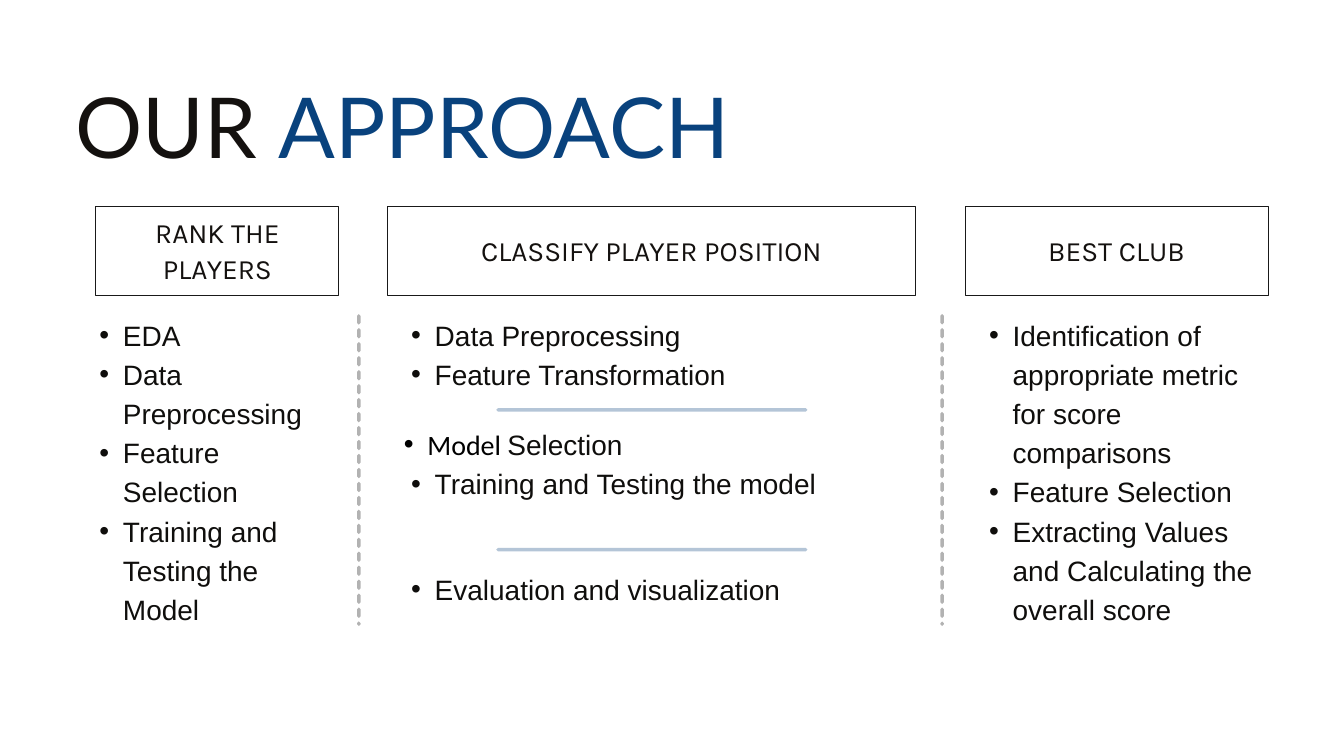
"""Build the "Our approach" slide: three headed columns of bullet steps."""
from dataclasses import dataclass

import lxml.etree
import pptx
import pptx.dml.color
import pptx.enum.dml
import pptx.enum.shapes
import pptx.enum.text
import pptx.oxml.ns
import pptx.util

Inches = pptx.util.Inches
Pt = pptx.util.Pt
qn = pptx.oxml.ns.qn

INK, BLUE, BODY, BLACK, FRAME = "14110F", "09427D", "0F0E0C", "000000", "191919"
FRAME_TOP, FRAME_HEIGHT = 3.07, 1.33
LIST_TOP = 4.65


@dataclass(frozen=True)
class Box:
    left: float
    top: float
    width: float
    height: float


@dataclass(frozen=True)
class Run:
    text: str
    font: str = "Arial"
    color: str = BODY
    size: float = 30


@dataclass(frozen=True)
class Para:
    runs: tuple[Run, ...]
    spacing: float | None = 42
    margin: float = 0.71
    hang: float = 0.35
    bullet: bool = True
    centered: bool = False


@dataclass(frozen=True)
class Heading:
    text: str
    frame_left: float
    frame_width: float
    label: Box


@dataclass(frozen=True)
class Steps:
    box: Box
    paras: tuple[Para, ...]


@dataclass(frozen=True)
class Rule:
    x1: float
    y1: float
    x2: float
    y2: float
    color: str
    dashed: bool = False


def step(text: str) -> Para:
    return Para((Run(text),))


HEADINGS = (
    Heading("RANK THE PLAYERS", 1.42, 3.61, Box(2.11, 3.16, 2.25, 1.09)),
    Heading("CLASSIFY PLAYER POSITION", 5.77, 7.86, Box(6.6, 3.43, 6.19, 0.55)),
    Heading("BEST CLUB", 14.36, 4.51, Box(15.02, 3.43, 3.19, 0.55)),
)

MODEL_SELECTION = Para(
    (Run("Model ", "Calibri", BLACK), Run("Selection")),
    spacing=None, margin=0.6, hang=0.35,
)

STEPS = (
    Steps(Box(1.12, LIST_TOP, 3.62, 4.67), (
        step("EDA"),
        step("Data Preprocessing"),
        step("Feature Selection"),
        step("Training and Testing the Model"),
    )),
    Steps(Box(5.76, LIST_TOP, 7.87, 1.17), (
        step("Data Preprocessing"),
        step("Feature Transformation"),
    )),
    Steps(Box(5.76, 6.36, 7.87, 1.04), (
        MODEL_SELECTION,
        step("Training and Testing the model"),
    )),
    Steps(Box(5.76, 8.43, 7.87, 0.58), (step("Evaluation and visualization"),)),
    Steps(Box(14.36, LIST_TOP, 4.52, 4.08), (
        step("Identification of appropriate metric for score comparisons"),
        step("Feature Selection"),
        step("Extracting Values and Calculating the overall score"),
    )),
)

RULES = (
    *(Rule(x, 4.7, x, 9.29, BLACK, dashed=True) for x in (5.34, 14.02)),
    *(Rule(7.41, y, 11.99, y, BLUE) for y in (6.1, 8.18)),
)


def rgb(color: str) -> pptx.dml.color.RGBColor:
    return pptx.dml.color.RGBColor.from_string(color)


def add_bullet(p, margin: float, hang: float) -> None:
    pPr = p._p.get_or_add_pPr()
    pPr.set("marL", str(Inches(margin)))
    pPr.set("indent", str(-Inches(hang)))
    lxml.etree.SubElement(pPr, qn("a:buFont")).set("typeface", "Arial")
    lxml.etree.SubElement(pPr, qn("a:buChar")).set("char", "•")


def add_text(s, box: Box, paras: tuple[Para, ...]) -> None:
    sp = s.shapes.add_textbox(
        Inches(box.left), Inches(box.top), Inches(box.width), Inches(box.height))
    tf = sp.text_frame
    tf.word_wrap = True
    tf.auto_size = pptx.enum.text.MSO_AUTO_SIZE.SHAPE_TO_FIT_TEXT
    tf.margin_left = tf.margin_top = tf.margin_right = tf.margin_bottom = 0
    for i, para in enumerate(paras):
        p = tf.add_paragraph() if i else tf.paragraphs[0]
        if para.bullet:
            add_bullet(p, para.margin, para.hang)
        if para.centered:
            p.alignment = pptx.enum.text.PP_ALIGN.CENTER
        if para.spacing is not None:
            p.line_spacing = Pt(para.spacing)
        for run in para.runs:
            r = p.add_run()
            r.text = run.text
            r.font.name = run.font
            r.font.size = Pt(run.size)
            r.font.color.rgb = rgb(run.color)


def add_heading(s, heading: Heading) -> None:
    sp = s.shapes.add_shape(
        pptx.enum.shapes.MSO_SHAPE.RECTANGLE,
        Inches(heading.frame_left), Inches(FRAME_TOP),
        Inches(heading.frame_width), Inches(FRAME_HEIGHT))
    sp.shadow.inherit = False
    sp.fill.background()
    sp.line.color.rgb = rgb(FRAME)
    sp.line.width = Pt(0.9)
    label = Para((Run(heading.text, "Karla", INK),), 39, bullet=False, centered=True)
    add_text(s, heading.label, (label,))


def add_rule(s, rule: Rule) -> None:
    sp = s.shapes.add_connector(
        pptx.enum.shapes.MSO_CONNECTOR.STRAIGHT,
        Inches(rule.x1), Inches(rule.y1), Inches(rule.x2), Inches(rule.y2))
    sp.line.color.rgb = rgb(rule.color)
    sp.line.width = Pt(3.75)
    if rule.dashed:
        sp.line.dash_style = pptx.enum.dml.MSO_LINE.SQUARE_DOT
    spPr = sp._element.spPr
    ln = spPr.find(qn("a:ln"))
    ln.set("cap", "rnd")
    color = ln.find(".//" + qn("a:srgbClr"))
    lxml.etree.SubElement(color, qn("a:alpha")).set("val", "30000")
    lxml.etree.SubElement(spPr, qn("a:effectLst"))


def main() -> None:
    prs = pptx.Presentation()
    prs.slide_width, prs.slide_height = Inches(20), Inches(11.25)
    s = prs.slides.add_slide(prs.slide_layouts[6])
    title = (Run("OUR ", "Lato", INK, 90), Run("APPROACH", "Lato", BLUE, 90))
    add_text(s, Box(1.12, 1.11, 13.23, 1.51), (Para(title, 108, bullet=False),))
    for heading in HEADINGS:
        add_heading(s, heading)
    for steps in STEPS:
        add_text(s, steps.box, steps.paras)
    for rule in RULES:
        add_rule(s, rule)
    prs.save("out.pptx")


if __name__ == "__main__":
    main()
